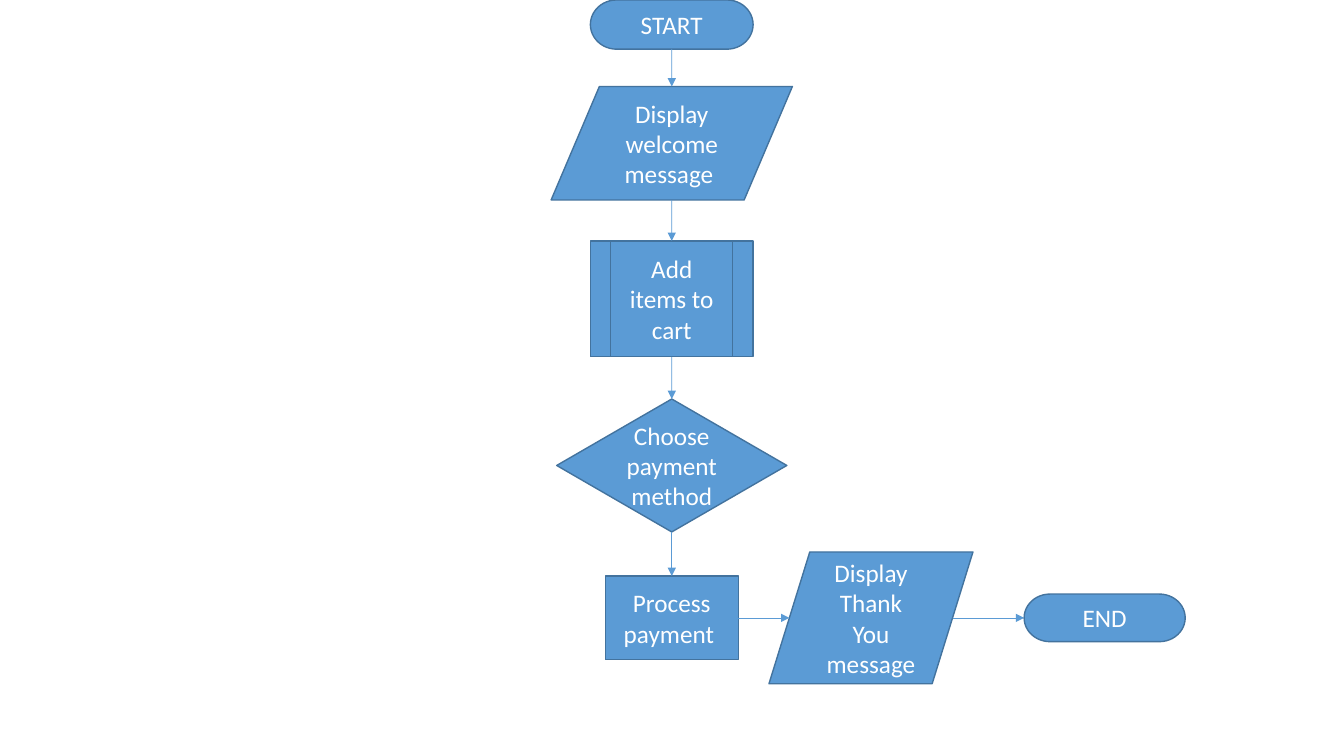
from dataclasses import dataclass

from lxml.etree import SubElement
from pptx import Presentation
from pptx.dml.color import RGBColor
from pptx.enum.shapes import MSO_CONNECTOR, MSO_SHAPE
from pptx.enum.text import MSO_ANCHOR, PP_ALIGN
from pptx.oxml.ns import qn
from pptx.shapes.autoshape import Shape
from pptx.slide import Slide
from pptx.util import Cm, Pt


@dataclass(frozen=True)
class Theme:
    fill: RGBColor = RGBColor(0x5B, 0x9B, 0xD5)
    edge: RGBColor = RGBColor(0x43, 0x73, 0x9E)
    text: RGBColor = RGBColor(0xFF, 0xFF, 0xFF)
    font: str = "Calibri"
    size: Pt = Pt(18)
    border: Pt = Pt(1)
    arrow: Pt = Pt(0.5)


@dataclass(frozen=True)
class Step:
    """One flowchart node, placed by its centre, in centimetres."""
    text: str
    kind: MSO_SHAPE
    x: float
    y: float
    width: float
    height: float


THEME = Theme()
MID = 16.93  # centre of the main column
ROW = 15.57  # centre of the last row
TOP, LEFT, BOTTOM, RIGHT = range(4)
SLANT = MSO_SHAPE.FLOWCHART_DATA

STEPS = [
    Step("START", MSO_SHAPE.FLOWCHART_TERMINATOR, MID, 0.62, 4.1, 1.24),
    Step("Display welcome message ", SLANT, MID, 3.61, 6.08, 2.86),
    Step("Add items to cart", MSO_SHAPE.FLOWCHART_PREDEFINED_PROCESS, MID, 7.53, 4.1, 2.92),
    Step("Choose payment method", MSO_SHAPE.FLOWCHART_DECISION, MID, 11.73, 5.8, 3.35),
    Step("Process payment ", MSO_SHAPE.FLOWCHART_PROCESS, MID, ROW, 3.35, 2.11),
    Step("Display Thank You message", SLANT, 21.95, ROW, 5.14, 3.32),
    Step("END", MSO_SHAPE.FLOWCHART_TERMINATOR, 27.84, ROW, 4.06, 1.2),
]


def add_step(slide: Slide, step: Step) -> Shape:
    shape = slide.shapes.add_shape(
        step.kind, Cm(step.x - step.width / 2), Cm(step.y - step.height / 2),
        Cm(step.width), Cm(step.height))
    shape.shadow.inherit = False
    shape.fill.solid()
    shape.fill.fore_color.rgb = THEME.fill
    shape.line.color.rgb = THEME.edge
    shape.line.width = THEME.border
    frame = shape.text_frame
    frame.word_wrap = True
    frame.vertical_anchor = MSO_ANCHOR.MIDDLE
    frame.text = step.text
    para = frame.paragraphs[0]
    para.alignment = PP_ALIGN.CENTER
    para.font.name = THEME.font
    para.font.size = THEME.size
    para.font.color.rgb = THEME.text
    return shape


def find_port(step: Step, side: int) -> tuple[Cm, Cm]:
    """Give the middle of a side; slanted sides lie a tenth of the width in."""
    reach = step.width * (0.4 if step.kind == SLANT else 0.5)
    dx = {LEFT: -reach, RIGHT: reach}.get(side, 0)
    dy = {TOP: -step.height / 2, BOTTOM: step.height / 2}.get(side, 0)
    return Cm(step.x + dx), Cm(step.y + dy)


def add_arrow(slide: Slide, start: Step, end: Step, shapes: tuple[Shape, Shape]) -> None:
    exit, entry = (BOTTOM, TOP) if start.x == end.x else (RIGHT, LEFT)
    arrow = slide.shapes.add_connector(
        MSO_CONNECTOR.STRAIGHT, *find_port(start, exit), *find_port(end, entry))
    if start.kind != SLANT:
        arrow.begin_connect(shapes[0], exit)
    if end.kind != SLANT:
        arrow.end_connect(shapes[1], entry)
    arrow.line.color.rgb = THEME.fill
    arrow.line.width = THEME.arrow
    props = arrow._element.spPr
    SubElement(props.find(qn("a:ln")), qn("a:tailEnd"), type="triangle")
    SubElement(props, qn("a:effectLst"))


def main() -> None:
    deck = Presentation()
    deck.slide_width, deck.slide_height = Cm(33.87), Cm(19.05)
    slide = deck.slides.add_slide(deck.slide_layouts[6])
    shapes = [add_step(slide, step) for step in STEPS]
    for start, end, *pair in zip(STEPS, STEPS[1:], shapes, shapes[1:]):
        add_arrow(slide, start, end, tuple(pair))
    deck.save("out.pptx")


if __name__ == "__main__":
    main()
